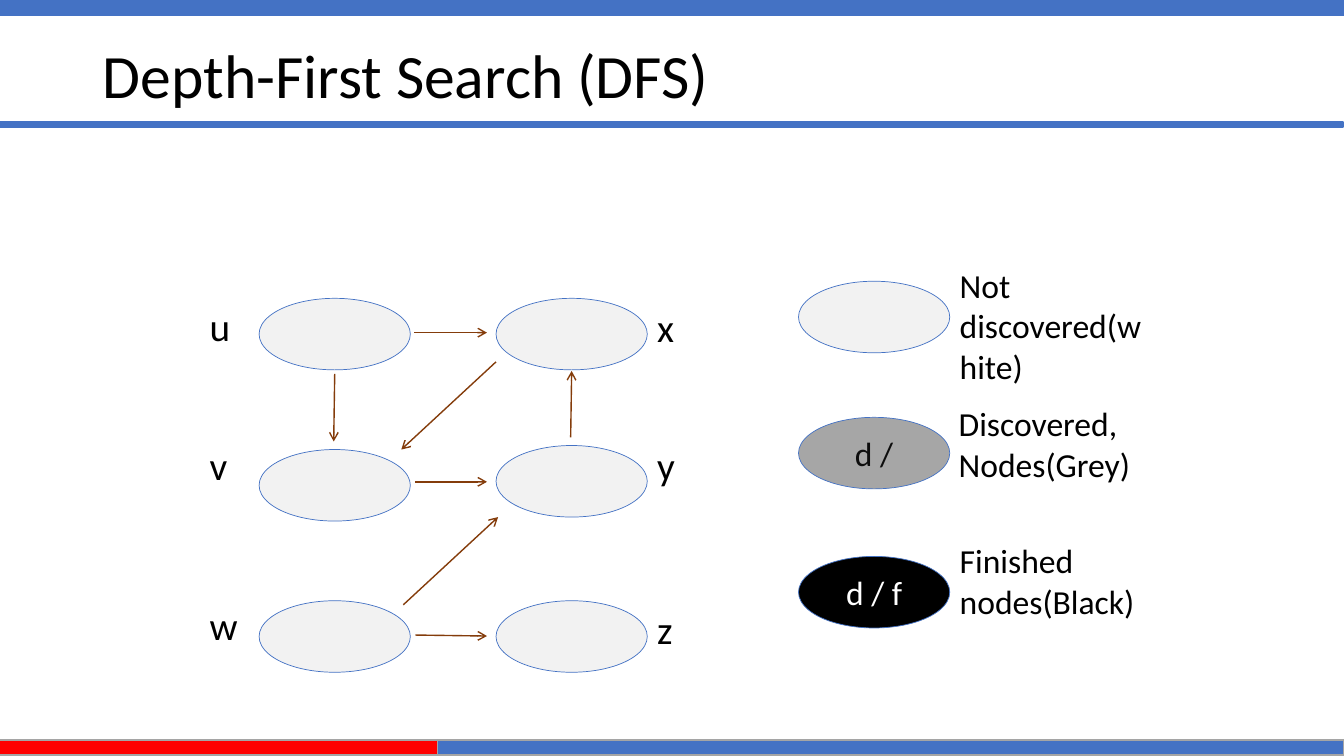
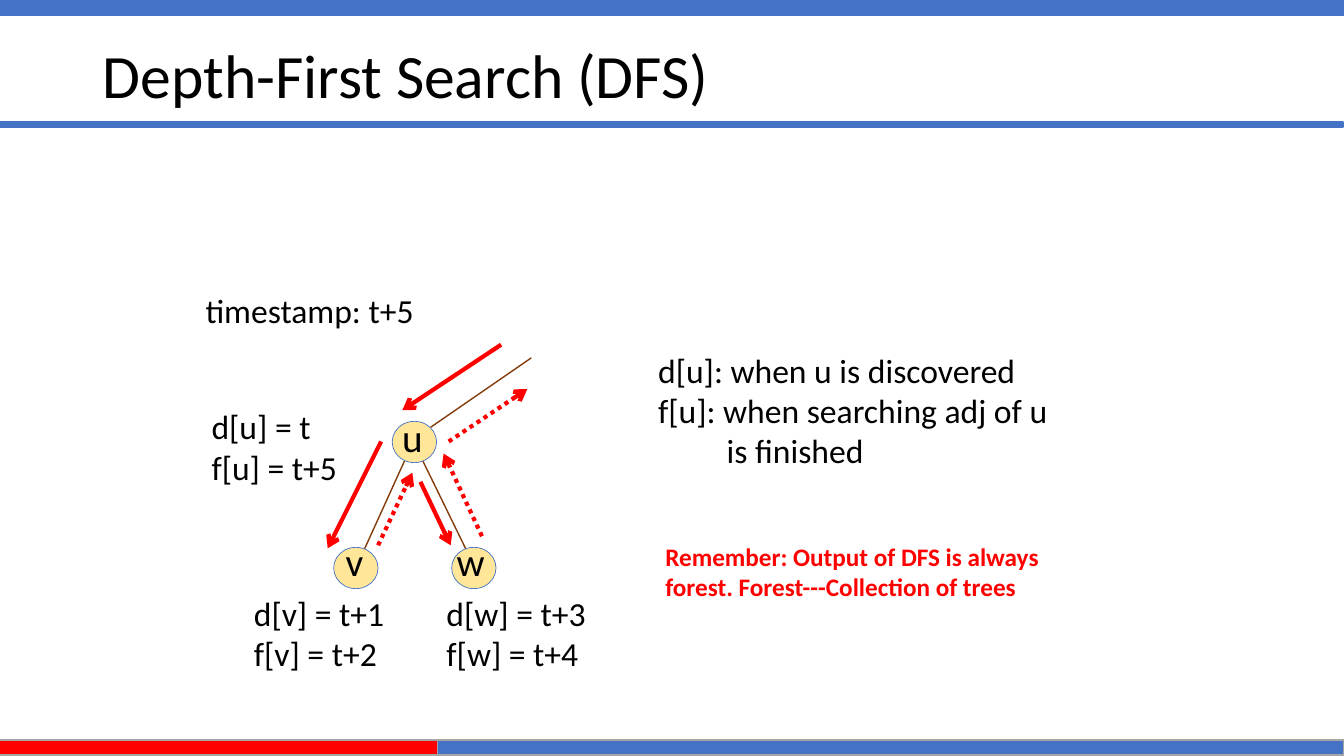
import pptx
import pptx.util
import pptx.dml.color
import pptx.enum.dml
import pptx.enum.shapes
import pptx.enum.text
import pptx.oxml
import pptx.oxml.ns
from lxml import etree

Inches, Pt = pptx.util.Inches, pptx.util.Pt
RGBColor = pptx.dml.color.RGBColor
SHAPES = pptx.enum.shapes.MSO_SHAPE
ANCHOR = pptx.enum.text.MSO_ANCHOR
ALIGN = pptx.enum.text.PP_ALIGN
qn = pptx.oxml.ns.qn

FONT = "Calibri"
COLORS = {
    "blue": "4472C4",
    "red": "FF0000",
    "band line": "A5A5A5",
    "black": "000000",
    "white": "FFFFFF",
    "near black": "0D0D0D",
    "brown": "843C0B",
    "undiscovered": "F2F2F2",
    "discovered": "A6A6A6",
    "tree node": "FFE699",
}


def rgb(name):
    return RGBColor.from_string(COLORS[name])


def add_line(slide, start, end, color, weight, arrow=True, dotted=False):
    points = [Inches(value) for value in (*start, *end)]
    connector = slide.shapes.add_connector(
        pptx.enum.shapes.MSO_CONNECTOR.STRAIGHT, *points)
    connector.line.color.rgb = rgb(color)
    connector.line.width = Pt(weight)
    if dotted:
        connector.line.dash_style = pptx.enum.dml.MSO_LINE.ROUND_DOT
    properties = connector.element.spPr
    if arrow:
        outline = properties.find(qn("a:ln"))
        etree.SubElement(outline, qn("a:tailEnd"), type="arrow")
    etree.SubElement(properties, qn("a:effectLst"))


presentation = pptx.Presentation()
presentation.slide_width = Inches(13.33)
presentation.slide_height = Inches(7.5)

# Shared layout: title position and coloured bands
layout = presentation.slide_layouts[5]
layout_title = layout.placeholders[0]
layout_title.left, layout_title.top = Inches(0.92), Inches(0.4)
layout_title.width, layout_title.height = Inches(11.5), Inches(1.45)

states_slide = presentation.slides.add_slide(layout)
times_slide = presentation.slides.add_slide(layout)

for slide in (states_slide, times_slide):
    title = slide.shapes.title
    title.text_frame.text = "Depth-First Search (DFS)"
    title.text_frame.vertical_anchor = ANCHOR.TOP
    paragraph = title.text_frame.paragraphs[0]
    paragraph.alignment = ALIGN.LEFT
    paragraph.line_spacing = 0.9
    paragraph.font.name = FONT
    paragraph.font.size = Pt(44)
    paragraph.font.color.rgb = rgb("black")

bands = [
    (0, 0, 13.33, 0.15, "blue", "blue"),
    (-0.01, 1.21, 13.33, 0.05, "blue", "blue"),
    (-0.01, 7.34, 4.36, 0.15, "red", "band line"),
    (4.34, 7.34, 8.99, 0.15, "blue", "band line"),
]
for *box, fill, outline in bands:
    band = states_slide.shapes.add_shape(
        SHAPES.RECTANGLE, *[Inches(value) for value in box])
    band.shadow.inherit = False
    band.fill.solid()
    band.fill.fore_color.rgb = rgb(fill)
    band.line.color.rgb = rgb(outline)
    band.line.width = Pt(1)
    layout.shapes.element.append(band.element)  # moves the band to the layout

# Edges lie behind the tree nodes
for start, end in [((4.1, 4.38), (4.71, 5.63)),
                   ((4.1, 4.38), (3.55, 5.59)),
                   ((5.27, 3.55), (4.27, 4.24))]:
    add_line(times_slide, start, end, "brown", 1, arrow=False)

# Nodes of the graph, the legend and the tree
graph_node, tree_node = (1.5, 0.71), (0.44, 0.41)
nodes = [(states_slide, left, top, graph_node, "undiscovered", "", "black")
         for left, tops in ((2.57, (2.96, 4.46, 5.96)), (4.92, (2.96, 4.42, 5.96)))
         for top in tops]
nodes += [(states_slide, 7.92, top, graph_node, fill, text, color)
          for top, fill, text, color in ((2.79, "undiscovered", "", "black"),
                                         (4.14, "discovered", "d /", "near black"),
                                         (5.52, "black", "d / f", "white"))]
nodes += [(times_slide, left, top, tree_node, "tree node", "", "black")
          for left, top in ((3.89, 4.18), (3.31, 5.43), (4.48, 5.43))]
for slide, left, top, (width, height), fill, text, color in nodes:
    node = slide.shapes.add_shape(
        SHAPES.OVAL, Inches(left), Inches(top), Inches(width), Inches(height))
    node.shadow.inherit = False
    node.fill.solid()
    node.fill.fore_color.rgb = rgb(fill)
    node.line.color.rgb = rgb("blue")
    node.line.width = Pt(0.5)
    if text:
        node.text_frame.text = text
        node.text_frame.vertical_anchor = ANCHOR.MIDDLE
        paragraph = node.text_frame.paragraphs[0]
        paragraph.alignment = ALIGN.CENTER
        paragraph.font.name = FONT
        paragraph.font.size = Pt(24)
        paragraph.font.color.rgb = rgb(color)

# Directed edges of the graph
for start, end in [((3.32, 3.71), (3.31, 4.38)),
                   ((4.11, 3.3), (4.83, 3.3)),
                   ((4.12, 4.78), (4.83, 4.78)),
                   ((4.12, 6.3), (4.83, 6.31)),
                   ((5.66, 4.34), (5.67, 3.68)),
                   ((4.92, 3.59), (3.98, 4.46)),
                   ((4, 6), (4.94, 5.13))]:
    add_line(states_slide, start, end, "brown", 1)

# Search steps: solid on the way down, dotted on the way back
for start, end, returning in [((4.97, 3.42), (3.99, 4.07), False),
                              ((3.78, 4.38), (3.25, 5.44), False),
                              ((3.75, 5.41), (4.09, 4.69), True),
                              ((4.17, 4.78), (4.47, 5.41), False),
                              ((4.78, 5.32), (4.4, 4.5), True),
                              ((4.45, 4.38), (5.23, 3.86), True)]:
    add_line(times_slide, start, end, "red", 3, dotted=returning)

# Text boxes: slide, text, left, top, width, height, size
letters = [(states_slide, "u", 1.98, 2.95), (states_slide, "v", 1.98, 4.33),
           (states_slide, "w", 1.98, 5.92), (states_slide, "x", 6.42, 2.96),
           (states_slide, "y", 6.42, 4.33), (states_slide, "z", 6.42, 5.96),
           (times_slide, "u", 3.89, 4.05), (times_slide, "v", 3.33, 5.28),
           (times_slide, "w", 4.43, 5.28)]
labels = [(*letter, 0.5, 0.57, 28) for letter in letters]
labels += [
    (states_slide, "Not discovered(white)", 9.42, 2.58, 2, 1.31, 24),
    (states_slide, "Discovered,\nNodes(Grey)", 9.41, 3.95, 2, 0.91, 24),
    (states_slide, "Finished nodes(Black)", 9.42, 5.31, 2, 0.91, 24),
    (times_slide, "d[u]: when u is discovered\nf[u]: when searching adj of u\nis finished",
     6.43, 3.42, 4.67, 1.31, 24),
    (times_slide, "timestamp: t+5", 1.94, 2.83, 2.54, 0.5, 24),
    (times_slide, "d[u] = t\nf[u] = t+5", 2, 3.98, 1.75, 0.91, 24),
    (times_slide, "d[v] = t+1\nf[v] = t+2", 2.42, 5.83, 1.67, 0.91, 24),
    (times_slide, "d[w] = t+3\nf[w] = t+4", 4.33, 5.83, 1.92, 0.91, 24),
    (times_slide, "Remember: Output of DFS is always forest. Forest---Collection of trees",
     6.5, 5.32, 4.42, 0.71, 18),
]
for slide, text, left, top, width, height, size in labels:
    label = slide.shapes.add_textbox(
        Inches(left), Inches(top), Inches(width), Inches(height))
    frame = label.text_frame
    frame.word_wrap = True
    frame.auto_size = pptx.enum.text.MSO_AUTO_SIZE.SHAPE_TO_FIT_TEXT
    frame.text = text
    is_reminder = text.startswith("Remember")
    for paragraph in frame.paragraphs:
        if paragraph.text == "is finished":
            paragraph._p.get_or_add_pPr().set("marL", str(Inches(0.68)))
        paragraph.font.name = FONT
        paragraph.font.size = Pt(size)
        paragraph.font.bold = is_reminder
        paragraph.font.color.rgb = rgb("red" if is_reminder else "black")

presentation.save("out.pptx")
